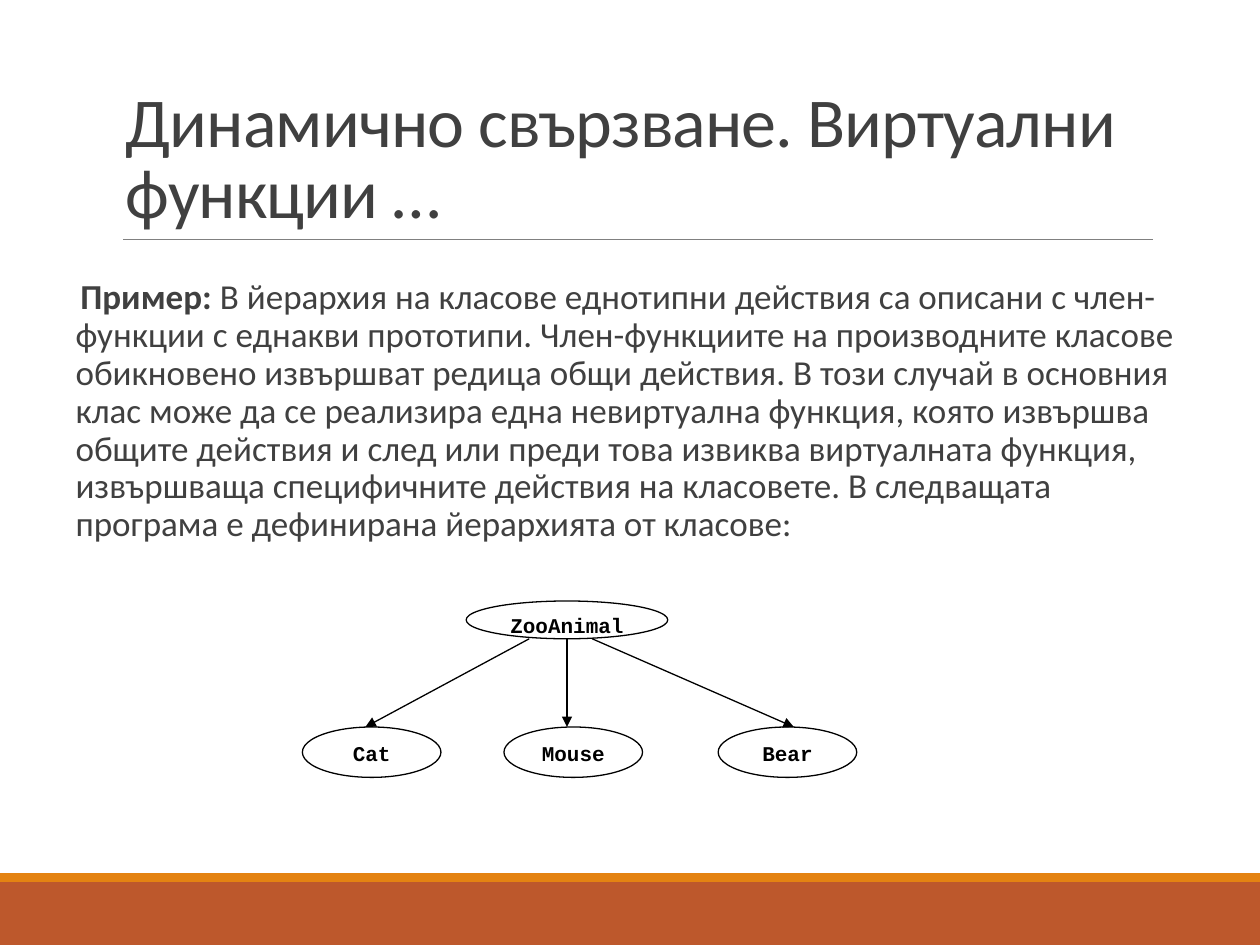
from dataclasses import dataclass

from lxml.etree import SubElement
from pptx import Presentation
from pptx.dml.color import RGBColor
from pptx.enum.shapes import MSO_CONNECTOR, MSO_SHAPE
from pptx.enum.text import MSO_ANCHOR as Anchor, PP_ALIGN as Align
from pptx.oxml.ns import qn
from pptx.util import Pt

PX = 9144  # EMU per px, 100 px to the inch
COLORS = {
    "band": "BD582C",
    "accent": "E48312",
    "rule": "808080",
    "text": "404040",
    "black": "000000",
    "white": "FFFFFF",
}
TITLE = "Динамично свързване. Виртуални функции …"
LEAD = "Пример:"
BODY = (
    " В йерархия на класове еднотипни действия са описани с член-функции с еднакви "
    "прототипи. Член-функциите на производните класове обикновено извършват редица "
    "общи действия. В този случай в основния клас може да се реализира една "
    "невиртуална функция, която извършва общите действия и след или преди това "
    "извиква виртуалната функция, извършваща специфичните действия на класовете. "
    "В следващата програма е дефинирана йерархията от класове:"
)


@dataclass
class Box:
    x: int
    y: int
    w: int
    h: int

    def emu(self) -> list[int]:
        return [v * PX for v in (self.x, self.y, self.w, self.h)]


@dataclass
class ClassNode:
    name: str
    box: Box


@dataclass
class Arrow:
    x1: int
    x2: int


ROOT_Y, ROOT_H, CHILD_Y = 477, 30, 577
NODES = [ClassNode("ZooAnimal", Box(370, ROOT_Y, 160, ROOT_H))] + [
    ClassNode(name, Box(x, CHILD_Y, 110, 40))
    for name, x in (("Cat", 240), ("Mouse", 400), ("Bear", 570))
]
ARROWS = [Arrow(450, 450), Arrow(420, 290), Arrow(470, 630)]


def rgb(name: str) -> RGBColor:
    return RGBColor.from_string(COLORS[name])


def style_run(r, font: str, size: int, color: str, bold: bool = False) -> None:
    r.font.name, r.font.size, r.font.bold = font, Pt(size), bold
    r.font.color.rgb = rgb(color)


def add_shape(s, kind: MSO_SHAPE, box: Box, fill: str):
    sp = s.shapes.add_shape(kind, *box.emu())
    sp.shadow.inherit = False
    sp.fill.solid()
    sp.fill.fore_color.rgb = rgb(fill)
    sp.line.fill.background()
    return sp


def add_line(s, x1: int, y1: int, x2: int, y2: int, color: str, width: float,
             arrow: bool = False) -> None:
    ends = [v * PX for v in (x1, y1, x2, y2)]
    cn = s.shapes.add_connector(MSO_CONNECTOR.STRAIGHT, *ends)
    cn.line.color.rgb = rgb(color)
    cn.line.width = Pt(width)
    if arrow:
        SubElement(cn.line._get_or_add_ln(), qn("a:tailEnd"), type="triangle")
    SubElement(cn._element.spPr, qn("a:effectLst"))


def add_title(s) -> None:
    tf = s.shapes.add_textbox(*Box(90, 31, 825, 159).emu()).text_frame
    tf.word_wrap = True
    tf.vertical_anchor = Anchor.BOTTOM
    p = tf.paragraphs[0]
    p.text = TITLE
    p.line_spacing = 0.85
    r = p.runs[0]
    style_run(r, "Calibri", 40, "text")
    r.font._element.set("spc", "-50")


def add_body(s) -> None:
    tf = s.shapes.add_textbox(*Box(50, 217, 900, 229).emu()).text_frame
    tf.word_wrap = True
    tf.margin_left = tf.margin_right = 0
    p = tf.paragraphs[0]
    p.line_spacing, p.space_before, p.space_after = 0.9, Pt(12), Pt(2)
    pPr = p._p.get_or_add_pPr()
    pPr.set("marL", str(10 * PX))
    pPr.set("indent", str(-10 * PX))
    bullet_color = SubElement(pPr, qn("a:buClr"))
    SubElement(bullet_color, qn("a:srgbClr"), val=COLORS["accent"])
    SubElement(pPr, qn("a:buChar"), char=" ")
    for text, bold in ((LEAD, True), (BODY, False)):
        r = p.add_run()
        r.text = text
        style_run(r, "Calibri", 20, "text", bold)


def add_node(s, node: ClassNode) -> None:
    sp = add_shape(s, MSO_SHAPE.OVAL, node.box, "white")
    sp.line.color.rgb = rgb("black")
    sp.line.width = Pt(0.75)
    tf = sp.text_frame
    tf.vertical_anchor = Anchor.TOP
    p = tf.paragraphs[0]
    p.text = node.name
    p.alignment = Align.CENTER
    style_run(p.runs[0], "Courier New", 12, "black", True)


def main() -> None:
    prs = Presentation()
    prs.slide_width, prs.slide_height = 1000 * PX, 750 * PX
    s = prs.slides.add_slide(prs.slide_layouts[6])
    add_shape(s, MSO_SHAPE.RECTANGLE, Box(0, 700, 1000, 50), "band")
    add_shape(s, MSO_SHAPE.RECTANGLE, Box(0, 693, 1000, 7), "accent")
    add_line(s, 98, 190, 915, 190, "rule", 0.5)
    add_title(s)
    add_body(s)
    for node in NODES:
        add_node(s, node)
    for a in ARROWS:
        add_line(s, a.x1, ROOT_Y + ROOT_H, a.x2, CHILD_Y, "black", 0.75, arrow=True)
    prs.save("out.pptx")


if __name__ == "__main__":
    main()
